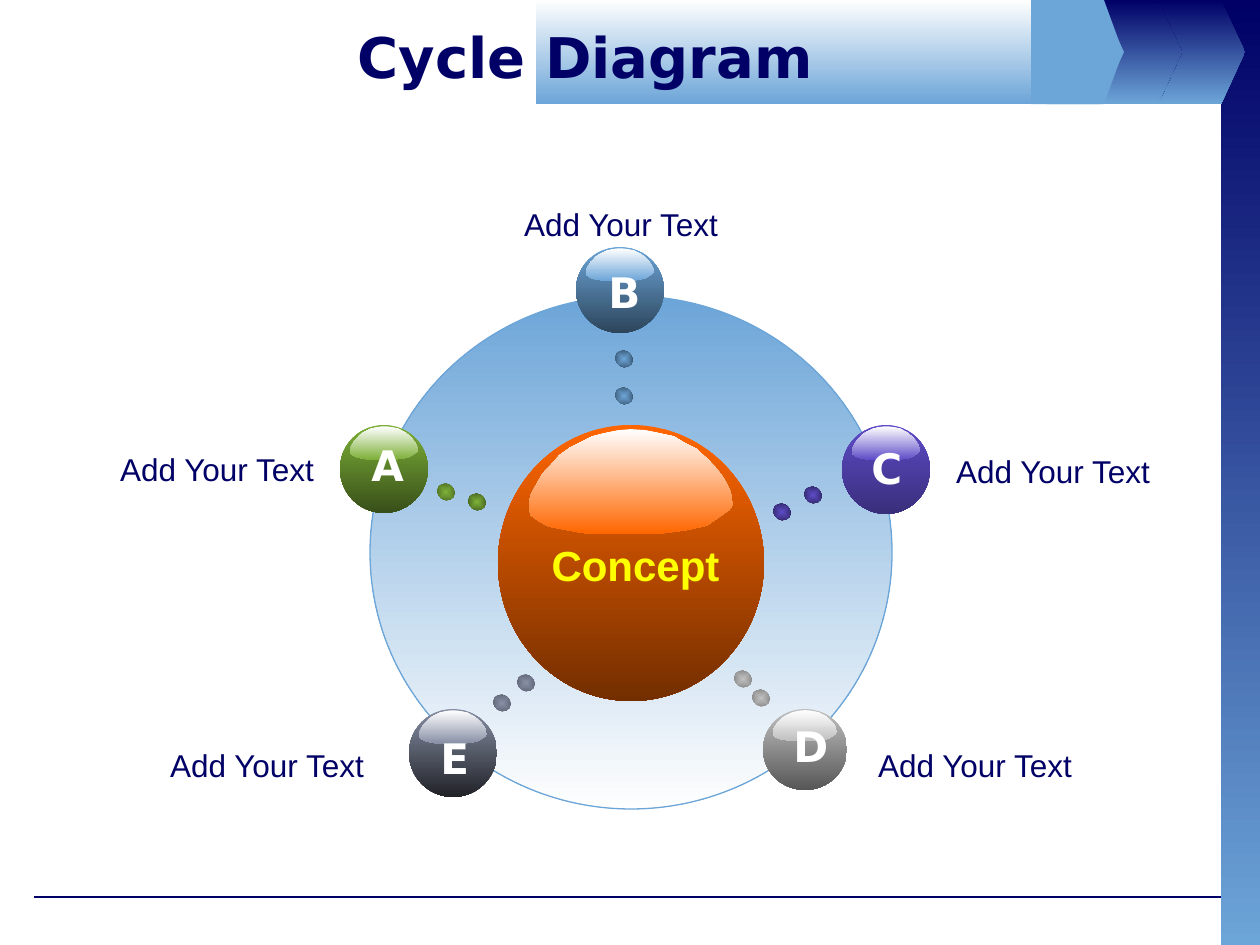
import pptx
import pptx.dml.color
import pptx.enum.shapes
import pptx.enum.text
import pptx.oxml
import pptx.oxml.ns
import pptx.util
from lxml import etree

EMU_PER_PX = 914400 / 126
FINE = 100  # freeform units in one px
NAVY, SKY, WHITE, NEAR_WHITE = "000066", "6CA5D8", "FFFFFF", "FEFEFE"
OVAL = pptx.enum.shapes.MSO_SHAPE.OVAL
RECTANGLE = pptx.enum.shapes.MSO_SHAPE.RECTANGLE
HEADER_HEIGHT = 104

SIDE_BAR = (1221, 0, 39, 945)
HEADER_BAND = (536, 0, 526, HEADER_HEIGHT)
FOOTER_LINE = (34, 897, 1221, 897)
# left, shoulder, tip, colours
ARROWS_BEHIND_BAND = [
    (1150, 1221, 1245, (NAVY, SKY)),
    (1088, 1158, 1182, (NAVY, SKY)),
    (1047, 1104, 1123, (SKY,)),
]
ARROW_ON_BAND = (1031, 1100, 1124, (SKY,))

TITLE = ("Cycle Diagram", (71, 11, 1029, 90))
RING = (370, 296, 522, 513)
CENTRE = {"text": "Concept", "ball": (498, 425, 266, 276),
          "box": (539, 533, 193, 63), "colours": ("FF6600", "732E00")}
LABEL_SIZE = (246, 50)
DOT_SIZE = (16, 18)
DOT_ROTATION = 303.8

# dots: left, top, edge colour
ITEMS = [
    {"letter": "A", "label": "Add Your Text", "colours": ("7DB038", "384F19"),
     "ball": (340, 425, 88, 88), "letter_box": (359, 433, 54, 63), "label_at": (94, 444),
     "dots": [(438, 483, "476520"), (469, 493, "3C551B")]},
    {"letter": "B", "label": "Add Your Text", "colours": (SKY, "2D455B"),
     "ball": (576, 247, 88, 86), "letter_box": (596, 260, 53, 63), "label_at": (498, 199),
     "dots": [(616, 350, "304A61"), (616, 387, "344F68")]},
    {"letter": "C", "label": "Add Your Text", "colours": ("5D4BC7", "392E7B"),
     "ball": (842, 425, 88, 89), "letter_box": (859, 436, 52, 63), "label_at": (930, 446),
     "dots": [(805, 486, "292157"), (774, 503, "292157")]},
    {"letter": "D", "label": "Add Your Text", "colours": ("C0C0C0", "575757"),
     "ball": (763, 709, 84, 81), "letter_box": (781, 714, 55, 63), "label_at": (852, 740),
     "dots": [(753, 689, "7F7F7F"), (735, 670, "7F7F7F")]},
    {"letter": "E", "label": "Add Your Text", "colours": ("878FA5", "202227"),
     "ball": (409, 709, 88, 88), "letter_box": (428, 726, 48, 63), "label_at": (144, 740),
     "dots": [(494, 694, "595E6D"), (518, 674, "595E6D")]},
]

# Highlight outline, in percent of its own width and height
GLOSS = [
    (98, 57), (99, 63), (100, 72), (98, 77), (93, 84), (87, 92), (78, 96), (67, 99),
    (60, 100), (36, 100), (26, 99), (18, 96), (10, 93), (5, 88), (1, 82), (0, 73),
    (1, 63), (4, 52), (7, 42), (11, 34), (15, 25), (20, 18), (26, 12), (31, 7),
    (37, 4), (44, 1), (50, 0), (57, 1), (64, 4), (71, 7), (76, 13), (82, 19),
    (87, 28), (91, 36), (95, 46),
]


def px(value):
    return pptx.util.Emu(round(value * EMU_PER_PX))


def rgb(colour):
    return pptx.dml.color.RGBColor.from_string(colour)


def paint(shape, colours, line=None, radial=False):
    """Fill with one colour, or with two from top to bottom or from centre to edge."""
    shape.shadow.inherit = False
    if line:
        shape.line.color.rgb = rgb(line)
        shape.line.width = pptx.util.Pt(0.75)
    else:
        shape.line.fill.background()
    if len(colours) == 1:
        shape.fill.solid()
        shape.fill.fore_color.rgb = rgb(colours[0])
        return
    shape.fill.gradient()
    shape.fill.gradient_angle = 270
    for stop, colour in zip(shape.fill.gradient_stops, colours):
        stop.color.rgb = rgb(colour)
    if radial:
        linear = shape._element.spPr.find(".//" + pptx.oxml.ns.qn("a:lin"))
        linear.getparent().replace(linear, pptx.oxml.parse_xml(
            f'<a:path {pptx.oxml.ns.nsdecls("a")} path="rect">'
            '<a:fillToRect l="50000" t="50000" r="50000" b="50000"/></a:path>'))


def add_preset(slide, kind, box, colours, line=None, radial=False):
    shape = slide.shapes.add_shape(kind, *map(px, box))
    paint(shape, colours, line, radial)
    return shape


def add_outline(slide, points, colours):
    points = [(x * FINE, y * FINE) for x, y in points]
    builder = slide.shapes.build_freeform(*points[0], scale=EMU_PER_PX / FINE)
    builder.add_line_segments(points[1:], close=True)
    paint(builder.convert_to_shape(), colours)


def add_arrow(slide, left, shoulder, tip, colours):
    points = [(left, 0), (shoulder, 0), (tip, HEADER_HEIGHT / 2),
              (shoulder, HEADER_HEIGHT), (left, HEADER_HEIGHT)]
    add_outline(slide, points, colours)


def add_ball(slide, box, colours):
    """Draw a shaded ball with its highlight near the top."""
    add_preset(slide, OVAL, box, colours)
    left, top, width, height = box
    points = [(left + width * (0.115 + 0.77 * x / 100),
               top + height * (0.015 + 0.38 * y / 100)) for x, y in GLOSS]
    add_outline(slide, points, (WHITE, colours[0]))


def add_text(slide, text, box, size, font, colour, bold=False, wrap=True):
    frame = slide.shapes.add_textbox(*map(px, box)).text_frame
    frame.word_wrap = wrap
    frame.vertical_anchor = pptx.enum.text.MSO_ANCHOR.MIDDLE
    frame.text = text
    paragraph = frame.paragraphs[0]
    paragraph.alignment = pptx.enum.text.PP_ALIGN.CENTER
    run_font = paragraph.runs[0].font
    run_font.size = pptx.util.Pt(size)
    run_font.name = font
    run_font.bold = bold
    run_font.color.rgb = rgb(colour)


def add_frame(slide):
    """Draw the footer line, side bar and header."""
    line = slide.shapes.add_connector(
        pptx.enum.shapes.MSO_CONNECTOR.STRAIGHT, *map(px, FOOTER_LINE))
    line.line.color.rgb = rgb(NAVY)
    line.line.width = pptx.util.Pt(0.75)
    etree.SubElement(line._element.spPr, pptx.oxml.ns.qn("a:effectLst"))
    add_preset(slide, RECTANGLE, SIDE_BAR, (NAVY, SKY))
    for arrow in ARROWS_BEHIND_BAND:
        add_arrow(slide, *arrow)
    add_preset(slide, RECTANGLE, HEADER_BAND, (NEAR_WHITE, SKY))
    add_arrow(slide, *ARROW_ON_BAND)
    add_text(slide, *TITLE, 32, "DejaVu Sans", NAVY, bold=True)


def add_cycle(slide):
    add_preset(slide, OVAL, RING, (SKY, NEAR_WHITE), line=SKY)
    add_ball(slide, CENTRE["ball"], CENTRE["colours"])
    add_text(slide, CENTRE["text"], CENTRE["box"], 24, "Arial", "FFFF00", bold=True, wrap=False)
    for item in ITEMS:
        add_ball(slide, item["ball"], item["colours"])
        add_text(slide, item["letter"], item["letter_box"], 24, "DejaVu Sans", WHITE,
                 bold=True, wrap=False)
        for left, top, edge in item["dots"]:
            dot = add_preset(slide, OVAL, (left, top, *DOT_SIZE),
                             (item["colours"][0], edge), radial=True)
            dot.rotation = DOT_ROTATION
        add_text(slide, item["label"], (*item["label_at"], *LABEL_SIZE), 18, "Arial", NAVY)


def main():
    presentation = pptx.Presentation()
    presentation.slide_width, presentation.slide_height = px(1260), px(945)
    slide = presentation.slides.add_slide(presentation.slide_layouts[6])
    add_frame(slide)
    add_cycle(slide)
    presentation.save("out.pptx")


if __name__ == "__main__":
    main()
